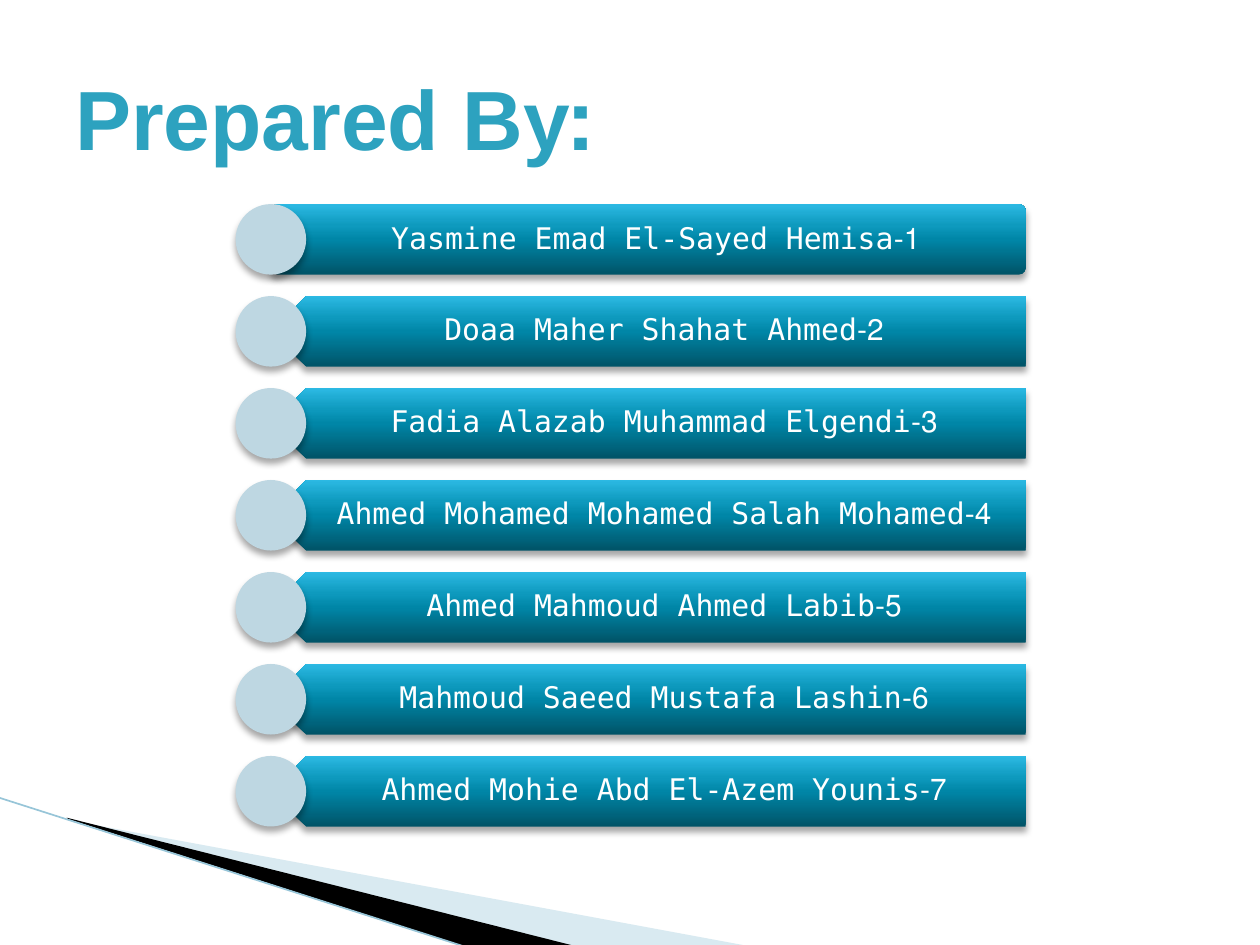
from dataclasses import dataclass

from lxml import etree
from pptx import Presentation
from pptx.dml.color import RGBColor
from pptx.enum import shapes, text
from pptx.oxml import parse_xml
from pptx.oxml.ns import nsdecls, qn
from pptx.util import Inches, Pt

WHITE = RGBColor(0xFF, 0xFF, 0xFF)
BLACK = RGBColor(0, 0, 0)
TEAL = RGBColor(0x2D, 0xA2, 0xBF)
PALE = RGBColor(0xBE, 0xD7, 0xE2)
MIST = RGBColor(0xA0, 0xCB, 0xDC)
EDGE = RGBColor(0x97, 0xC5, 0xD8)
STOPS = (
    (0, RGBColor(0x00, 0x53, 0x67)),
    (50, RGBColor(0x00, 0x86, 0xA7)),
    (70, RGBColor(0x0E, 0x9A, 0xBE)),
    (100, RGBColor(0x2C, 0xB9, 0xE3)),
)
KIND = shapes.MSO_SHAPE

TOP, STEP, SIZE = 1.62, 0.73, 0.56
DOT_X, BAR_X, BAR_W = 1.87, 2.15, 5.99
NAMES = (
    "Yasmine Emad El-Sayed Hemisa",
    "Doaa Maher Shahat Ahmed",
    "Fadia Alazab Muhammad Elgendi",
    "Ahmed Mohamed Mohamed Salah Mohamed",
    "Ahmed Mahmoud Ahmed Labib",
    "Mahmoud Saeed Mustafa Lashin",
    "Ahmed Mohie Abd El-Azem Younis",
)


@dataclass
class Box:
    left: float
    top: float
    width: float
    height: float

    def place(self) -> tuple:
        return tuple(map(Inches, (self.left, self.top, self.width, self.height)))


@dataclass
class Style:
    font: str
    size: float
    color: RGBColor
    bold: bool
    align: text.PP_ALIGN
    pads: tuple
    line: float = 1.0


TITLE = Style("Arial", 48, TEAL, True, text.PP_ALIGN.LEFT, (0.1, 0.05, 0.1, 0.05))
LABEL = Style("DejaVu Sans Mono", 17, WHITE, False, text.PP_ALIGN.CENTER,
              (0.25, 0.07, 0.13, 0.07), 0.9)


def add_wedge(slide, points: list, color: RGBColor, alpha: int = 100) -> None:
    """Draw a closed outline through points given in inches."""
    spots = [(Inches(x), Inches(y)) for x, y in points]
    pen = slide.shapes.build_freeform(*spots[0])
    pen.add_line_segments(spots[1:], close=True)
    wedge = pen.convert_to_shape()
    wedge.shadow.inherit = False
    wedge.line.fill.background()
    wedge.fill.solid()
    wedge.fill.fore_color.rgb = color
    if alpha < 100:
        tint = wedge._element.spPr.find(qn("a:solidFill"))[0]
        etree.SubElement(tint, qn("a:alpha")).set("val", str(alpha * 1000))


def add_edge(slide) -> None:
    edge = slide.shapes.add_connector(
        shapes.MSO_CONNECTOR.STRAIGHT,
        Inches(-0.01), Inches(6.33), Inches(3.71), Inches(7.52))
    edge.line.color.rgb = EDGE
    edge.line.width = Pt(0.95)
    etree.SubElement(edge._element.spPr, qn("a:effectLst"))


def add_shade(shape) -> None:
    """Give the shape a soft shadow straight below it."""
    shape.shadow.inherit = False
    glow = shape._element.spPr.find(qn("a:effectLst"))
    glow.append(parse_xml(
        f'<a:outerShdw {nsdecls("a")} blurRad="{Pt(4)}" dist="{Pt(3)}" '
        'dir="5400000" rotWithShape="0"><a:srgbClr val="000000">'
        '<a:alpha val="35000"/></a:srgbClr></a:outerShdw>'))


def add_bar(slide, kind: shapes.MSO_SHAPE, box: Box) -> None:
    bar = slide.shapes.add_shape(kind, *box.place())
    bar.rotation = 180
    if kind == KIND.ROUNDED_RECTANGLE:
        bar.adjustments[0] = 0.1
    bar.line.fill.background()
    stops = "".join(
        f'<a:gs pos="{pos * 1000}"><a:srgbClr val="{color}"/></a:gs>'
        for pos, color in STOPS)
    fill = parse_xml(
        f'<a:gradFill {nsdecls("a")} rotWithShape="0"><a:gsLst>{stops}</a:gsLst>'
        '<a:lin ang="16200000" scaled="0"/></a:gradFill>')
    bar._element.spPr.find(qn("a:prstGeom")).addnext(fill)
    add_shade(bar)


def add_dot(slide, box: Box) -> None:
    dot = slide.shapes.add_shape(KIND.OVAL, *box.place())
    dot.fill.solid()
    dot.fill.fore_color.rgb = PALE
    dot.line.fill.background()
    add_shade(dot)


def add_text(slide, words: str, box: Box, style: Style) -> None:
    """Add one right-to-left line of text."""
    frame = slide.shapes.add_textbox(*box.place()).text_frame
    frame.word_wrap = True
    frame.vertical_anchor = text.MSO_ANCHOR.MIDDLE
    (frame.margin_left, frame.margin_top,
     frame.margin_right, frame.margin_bottom) = map(Inches, style.pads)
    para = frame.paragraphs[0]
    para.text = words
    para.alignment = style.align
    para.line_spacing = style.line
    para._p.get_or_add_pPr().set("rtl", "1")
    font = para.font
    font.name, font.size, font.bold = style.font, Pt(style.size), style.bold
    font.color.rgb = style.color


def add_row(slide, index: int, name: str) -> None:
    top = TOP + index * STEP
    first = index == 0
    kind = KIND.ROUNDED_RECTANGLE if first else KIND.PENTAGON
    inner = Box(2.18, top + 0.03, 5.93, 0.51) if first else Box(2.29, top, 5.84, SIZE)
    add_bar(slide, kind, Box(BAR_X, top, BAR_W, SIZE))
    add_text(slide, f"{index + 1}-{name}", inner, LABEL)
    add_dot(slide, Box(DOT_X, top, SIZE, SIZE))


def main() -> None:
    deck = Presentation()
    deck.slide_width, deck.slide_height = Inches(10), Inches(7.5)
    slide = deck.slides.add_slide(deck.slide_layouts[6])
    add_wedge(slide, [(0.55, 6.51), (5.95, 7.51), (4.56, 7.51), (0.55, 6.5)], MIST, 40)
    add_wedge(slide, [(0.53, 6.49), (4.57, 7.51), (3.72, 7.52), (0.54, 6.5)], BLACK)
    add_edge(slide)
    for index, name in enumerate(NAMES):
        add_row(slide, index, name)
    add_text(slide, ":Prepared By", Box(0.5, 0.3, 9, 1.25), TITLE)
    deck.save("out.pptx")


if __name__ == "__main__":
    main()
